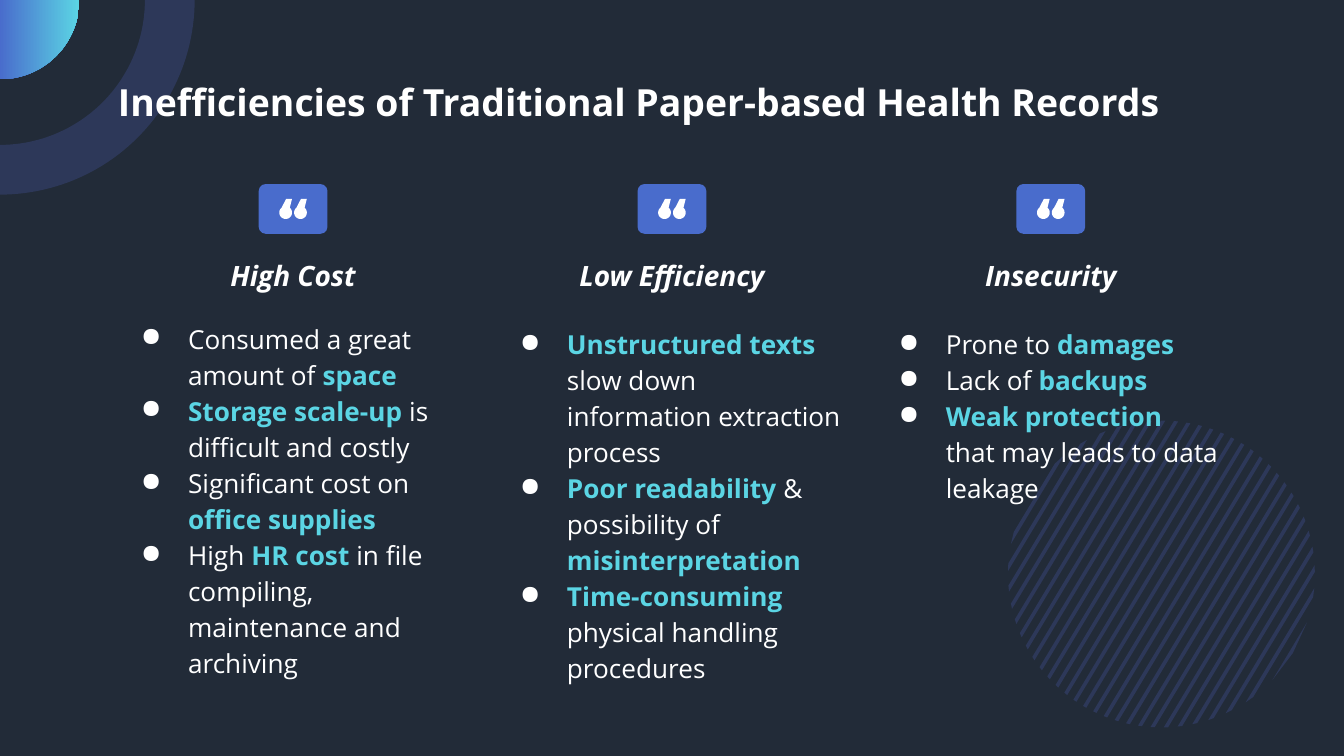
"""Build the slide on the inefficiencies of paper-based health records."""
from math import cos, hypot, radians, sin, sqrt

from lxml.etree import SubElement
from pptx import Presentation
from pptx.dml.color import RGBColor
from pptx.enum.shapes import MSO_SHAPE
from pptx.enum.text import MSO_ANCHOR, PP_ALIGN
from pptx.oxml.ns import qn
from pptx.util import Cm, Pt

FONT = "Open Sans"
NAVY = RGBColor(0x22, 0x2B, 0x38)
INDIGO = RGBColor(0x2D, 0x38, 0x59)
BLUE = RGBColor(0x49, 0x6C, 0xCC)
CYAN = RGBColor(0x5B, 0xD5, 0xE4)
WHITE = RGBColor(0xFF, 0xFF, 0xFF)

TITLE = "Inefficiencies of Traditional Paper-based Health Records"
COLUMNS = [
    ("High Cost", 5.77, 4.72, [
        "Consumed a great amount of *space*",
        "*Storage scale-up* is difficult and costly",
        "Significant cost on *office supplies*",
        "High *HR cost* in file compiling, maintenance and archiving",
    ]),
    ("Low Efficiency", 5.87, 4.93, [
        "*Unstructured texts* slow down information extraction process",
        "*Poor readability* & possibility of *misinterpretation*",
        "*Time-consuming* physical handling procedures",
    ]),
    ("Insecurity", 5.87, 5.08, [
        "Prone to *damages*",
        "Lack of *backups*",
        "*Weak protection*\nthat may leads to data leakage",
    ]),
]
FIRST_CENTER, COLUMN_PITCH = 5.54, 7.16
HEADING_WIDTH, BODY_WIDTH = 6.1, 7.01
BADGE_TOP, BADGE_WIDTH, BADGE_HEIGHT = 3.48, 1.3, 0.94

DISC_X, DISC_Y, DISC_RADIUS = 21.95, 10.85, 2.9
STRIPE_COUNT, STRIPE_WIDTH, STRIPE_TILT = 27, 0.07, 31
FIRST_OFFSET, LAST_OFFSET = -2.8, 2.83
RING_OUTER, RING_INNER, CORNER_RADIUS = 3.68, 2.74, 1.5


def arc(x, y, radius, start, end, steps=48):
    angles = [radians(start + (end - start) * i / steps) for i in range(steps + 1)]
    return [(x + radius * cos(a), y + radius * sin(a)) for a in angles]


def add_outline(slide, contours, color=None):
    builder = None
    for contour in contours:
        start, *rest = [(Cm(x), Cm(y)) for x, y in contour]
        if builder is None:
            builder = slide.shapes.build_freeform(*start)
        else:
            builder.move_to(*start)
        builder.add_line_segments(rest, close=True)
    outline = builder.convert_to_shape()
    outline.shadow.inherit = False
    outline.line.fill.background()
    if color is not None:
        outline.fill.solid()
        outline.fill.fore_color.rgb = color
    return outline


def add_stripes(slide):
    tilt = radians(STRIPE_TILT)
    pitch = (LAST_OFFSET - FIRST_OFFSET) / (STRIPE_COUNT - 1)

    def on_disc(offset, side):
        along = side * sqrt(max(DISC_RADIUS ** 2 - offset ** 2, 0))
        return (DISC_X + offset * cos(tilt) + along * sin(tilt),
                DISC_Y + offset * sin(tilt) - along * cos(tilt))

    for i in range(STRIPE_COUNT):
        near = FIRST_OFFSET + i * pitch
        far = near + STRIPE_WIDTH
        corners = [on_disc(near, 1), on_disc(near, -1), on_disc(far, -1), on_disc(far, 1)]
        add_outline(slide, [corners], INDIGO)


def add_corner(slide):
    ring = arc(0, 0, RING_OUTER, 0, 90) + arc(0, 0, RING_INNER, 90, 0)
    add_outline(slide, [ring], INDIGO)
    quarter = add_outline(slide, [[(0, 0)] + arc(0, 0, CORNER_RADIUS, 0, 90)])
    quarter.fill.gradient()
    quarter.fill.gradient_angle = 0
    for stop, color in zip(quarter.fill.gradient_stops, (BLUE, CYAN)):
        stop.color.rgb = color


def add_badge(slide, center):
    badge = slide.shapes.add_shape(
        MSO_SHAPE.ROUNDED_RECTANGLE, Cm(center - BADGE_WIDTH / 2), Cm(BADGE_TOP),
        Cm(BADGE_WIDTH), Cm(BADGE_HEIGHT))
    badge.adjustments[0] = 0.14
    badge.shadow.inherit = False
    badge.fill.solid()
    badge.fill.fore_color.rgb = BLUE
    badge.line.fill.background()
    top = BADGE_TOP + 0.28
    marks = [[(x + 0.13, top), (x + 0.24, top)] + arc(x + 0.12, top + 0.26, 0.12, -50, 230)
             for x in (center - 0.26, center + 0.02)]
    add_outline(slide, marks, WHITE)


def add_text_frame(slide, left, top, width, height, anchor=MSO_ANCHOR.TOP):
    frame = slide.shapes.add_textbox(Cm(left), Cm(top), Cm(width), Cm(height)).text_frame
    frame.word_wrap = True
    frame.vertical_anchor = anchor
    frame.margin_left = frame.margin_right = Cm(0.25)
    frame.margin_top = frame.margin_bottom = Cm(0.25)
    return frame


def style(paragraph, size, bold=None, italic=None):
    font = paragraph.font
    font.name, font.size, font.bold, font.italic = FONT, Pt(size), bold, italic
    font.color.rgb = WHITE


def add_bullet(paragraph):
    properties = paragraph._p.get_or_add_pPr()
    properties.set("marL", str(Cm(1.27)))
    properties.set("indent", str(Cm(-0.89)))
    color = SubElement(properties, qn("a:buClr"))
    SubElement(color, qn("a:srgbClr"), val=str(WHITE))
    SubElement(properties, qn("a:buChar"), char="●")


def add_points(frame, points):
    for i, point in enumerate(points):
        paragraph = frame.add_paragraph() if i else frame.paragraphs[0]
        add_bullet(paragraph)
        paragraph.line_spacing = 1.15
        style(paragraph, 14)
        for j, phrase in enumerate(point.split("*")):
            for k, words in enumerate(phrase.split("\n")):
                if k:
                    paragraph.add_line_break()
                if words:
                    run = paragraph.add_run()
                    run.text = words
                    if j % 2:
                        run.font.bold = True
                        run.font.color.rgb = CYAN


def main():
    deck = Presentation()
    deck.slide_width, deck.slide_height = Cm(25.4), Cm(14.29)
    slide = deck.slides.add_slide(deck.slide_layouts[6])
    slide.background.fill.solid()
    slide.background.fill.fore_color.rgb = NAVY
    add_stripes(slide)
    add_corner(slide)

    title = add_text_frame(slide, 1.98, 1.24, 21.44, 1.6).paragraphs[0]
    title.text = TITLE
    style(title, 20, bold=True)

    for i, (name, top, height, points) in enumerate(COLUMNS):
        center = FIRST_CENTER + i * COLUMN_PITCH
        add_badge(slide, center)
        heading = add_text_frame(slide, center - HEADING_WIDTH / 2, 4.65, HEADING_WIDTH,
                                 1.12, MSO_ANCHOR.BOTTOM).paragraphs[0]
        heading.text = name
        heading.alignment = PP_ALIGN.CENTER
        style(heading, 15, bold=True, italic=True)
        add_points(add_text_frame(slide, center - BODY_WIDTH / 2, top, BODY_WIDTH, height),
                   points)
    deck.save("out.pptx")


if __name__ == "__main__":
    main()
